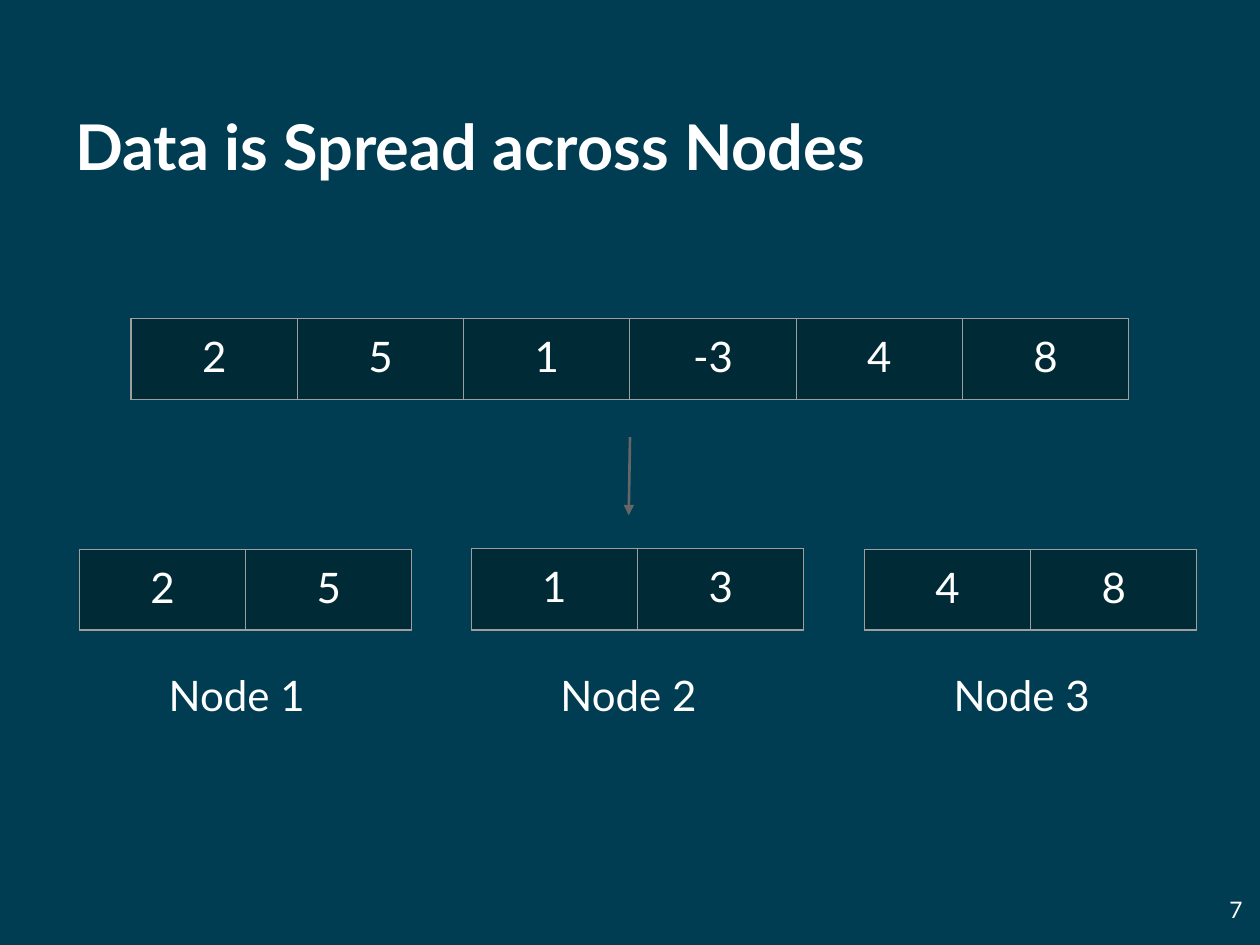
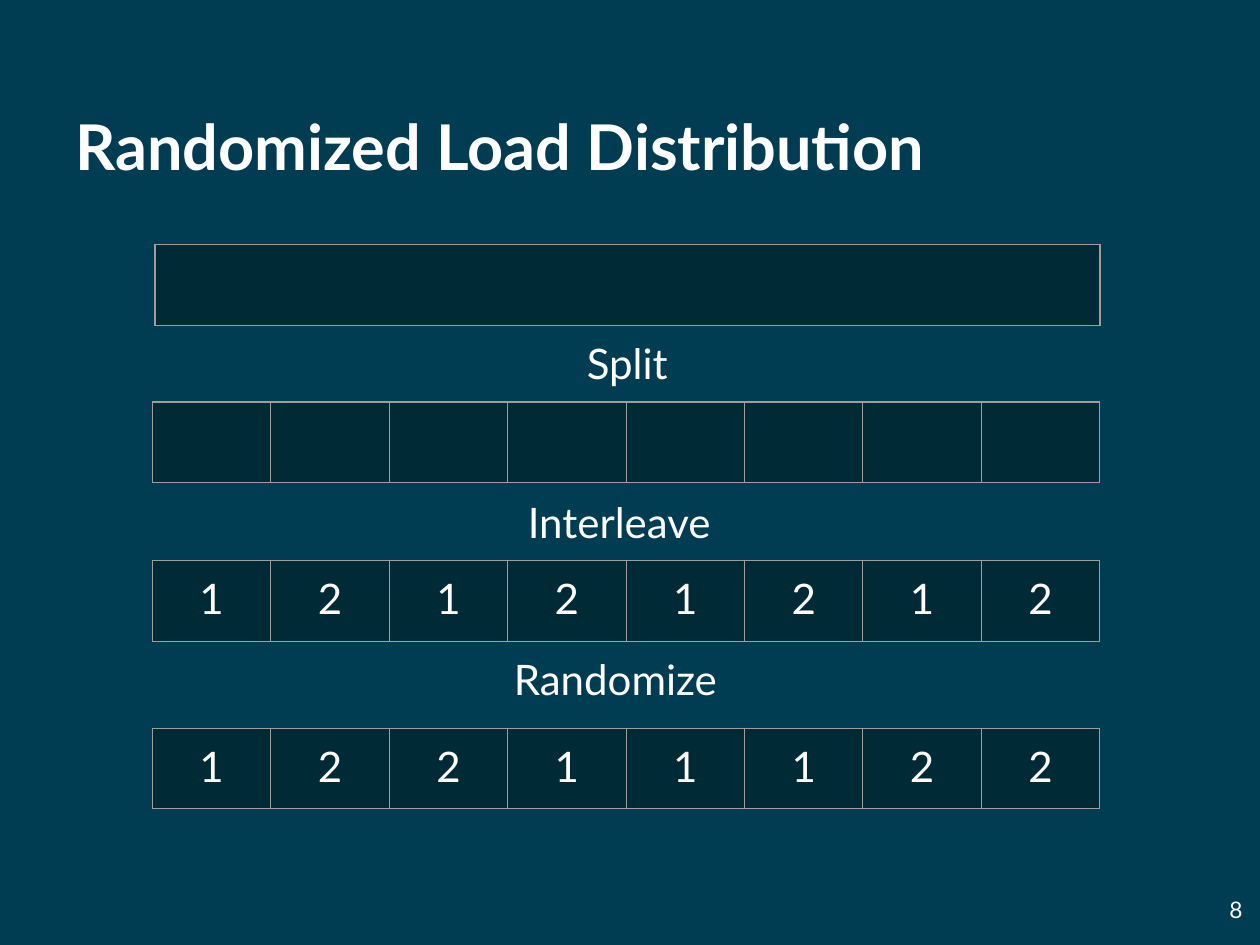
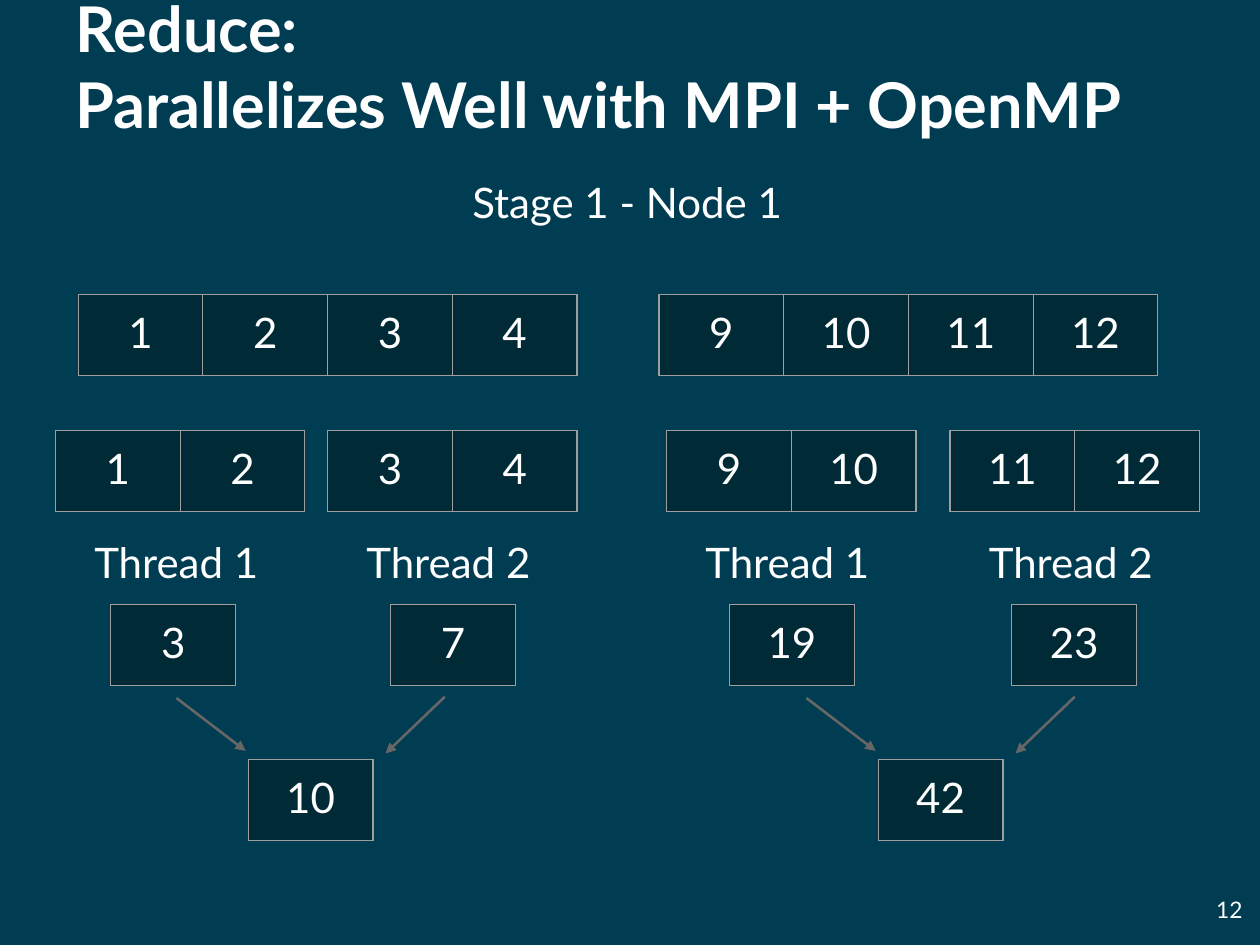
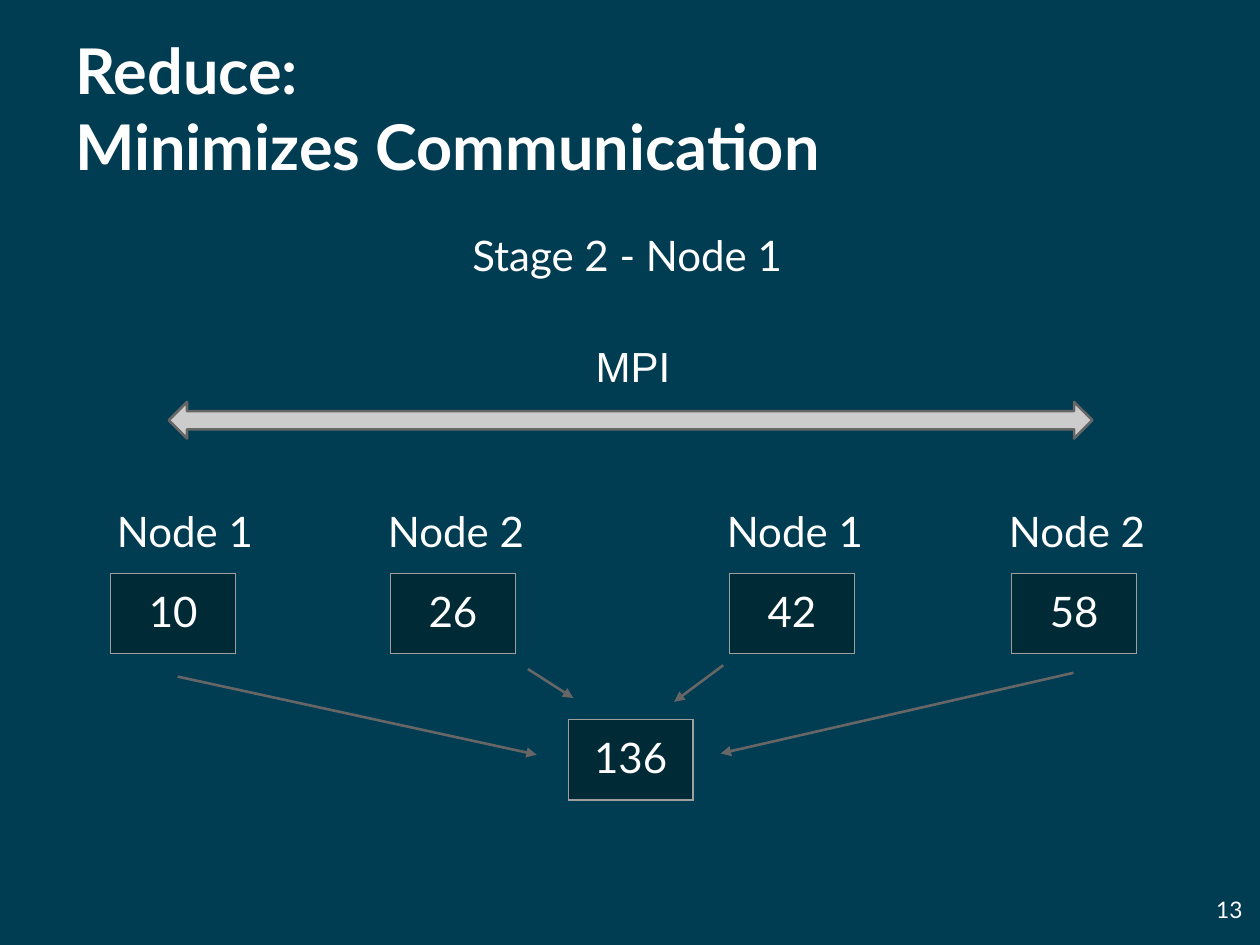
"""Build four slides on spreading and reducing data across nodes."""
from dataclasses import dataclass
from typing import Sequence

from pptx import Presentation
from pptx.dml.color import RGBColor
from pptx.enum.shapes import MSO_CONNECTOR as Connector, MSO_SHAPE as Shape
from pptx.enum.text import MSO_ANCHOR as Anchor, PP_ALIGN as Align
from pptx.oxml import parse_xml
from pptx.oxml.ns import nsdecls, qn
from pptx.slide import Slide
from pptx.text.text import TextFrame
from pptx.util import Inches, Pt

BACKGROUND = "003C52"
CELL_FILL = "002B36"
CELL_BORDER = "9E9E9E"
ARROW = "666666"
BAR_FILL = "CCCCCC"
WHITE = "FFFFFF"
FONT = "Lato"
MARGIN = Inches(0.1)
ROW_HEIGHT = 0.64
LABEL_HEIGHT = 0.68
NODE_CELL = 1.32
BLOCK_CELL = 0.94
THREAD_CELL = 0.99
RESULT_LEFTS = (0.88, 3.1, 5.79, 8.03)


@dataclass
class Row:
    """A one-row table of equal cells."""
    left: float
    top: float
    cell_width: float
    values: Sequence[str]
    height: float = ROW_HEIGHT


@dataclass
class Label:
    """A text box with one style."""
    text: str
    left: float
    top: float
    width: float
    height: float = LABEL_HEIGHT
    size: int = 24
    font: str = FONT
    bold: bool = False
    align: Align = Align.LEFT
    anchor: Anchor = Anchor.TOP


@dataclass
class Arrow:
    """A straight arrow that points at its end."""
    start_x: float
    start_y: float
    end_x: float
    end_y: float


def color(value: str) -> RGBColor:
    """Turn a hex string into a colour."""
    return RGBColor.from_string(value)


def style_text(text_frame: TextFrame, label: Label) -> None:
    """Format every run of a text frame as the label says."""
    for paragraph in text_frame.paragraphs:
        paragraph.alignment = label.align
        for run in paragraph.runs:
            run.font.name = label.font
            run.font.size = Pt(label.size)
            run.font.bold = label.bold
            run.font.color.rgb = color(WHITE)


def add_label(slide: Slide, label: Label) -> None:
    """Add a text box."""
    box = slide.shapes.add_textbox(Inches(label.left), Inches(label.top),
                                   Inches(label.width), Inches(label.height))
    text_frame = box.text_frame
    text_frame.word_wrap = True
    text_frame.vertical_anchor = label.anchor
    text_frame.margin_left = text_frame.margin_right = MARGIN
    text_frame.margin_top = text_frame.margin_bottom = MARGIN
    text_frame.text = label.text
    style_text(text_frame, label)


def add_row(slide: Slide, row: Row) -> None:
    """Add a one-row table with bordered dark cells."""
    width = row.cell_width * len(row.values)
    table = slide.shapes.add_table(1, len(row.values), Inches(row.left), Inches(row.top),
                                   Inches(width), Inches(row.height)).table
    table.first_row = table.horz_banding = False
    for column, value in zip(table.columns, row.values):
        column.width = Inches(row.cell_width)
    for cell, value in zip(table.iter_cells(), row.values):
        cell.margin_left = cell.margin_right = MARGIN
        cell.margin_top = cell.margin_bottom = MARGIN
        properties = cell._tc.get_or_add_tcPr()
        for side in "LRTB":
            properties.append(parse_xml(
                f'<a:ln{side} {nsdecls("a")} w="{Pt(0.75)}"><a:solidFill>'
                f'<a:srgbClr val="{CELL_BORDER}"/></a:solidFill></a:ln{side}>'))
        cell.fill.solid()
        cell.fill.fore_color.rgb = color(CELL_FILL)
        cell.text_frame.text = value
        style_text(cell.text_frame, Label(value, 0, 0, 0, align=Align.CENTER))


def add_arrow(slide: Slide, arrow: Arrow) -> None:
    """Add a connector with a triangular head."""
    connector = slide.shapes.add_connector(
        Connector.STRAIGHT, Inches(arrow.start_x), Inches(arrow.start_y),
        Inches(arrow.end_x), Inches(arrow.end_y))
    connector.line.color.rgb = color(ARROW)
    connector.line.width = Pt(1.5)
    connector.line._get_or_add_ln().append(
        parse_xml(f'<a:tailEnd {nsdecls("a")} type="triangle"/>'))
    properties = connector._element.find(qn("p:spPr"))
    properties.append(parse_xml(f'<a:effectLst {nsdecls("a")}/>'))


def add_exchange_bar(slide: Slide) -> None:
    """Add the wide two-headed block arrow."""
    shape = slide.shapes.add_shape(Shape.LEFT_RIGHT_ARROW, Inches(1.34), Inches(3.19),
                                   Inches(7.33), Inches(0.29))
    shape.shadow.inherit = False
    shape.fill.solid()
    shape.fill.fore_color.rgb = color(BAR_FILL)
    shape.line.color.rgb = color(ARROW)
    shape.line.width = Pt(1.5)


def new_slide(presentation: Presentation, title: str, number: int,
              title_top: float = 0.3) -> Slide:
    """Add a slide with its background, title and page number."""
    slide = presentation.slides.add_slide(presentation.slide_layouts[6])
    slide.background.fill.solid()
    slide.background.fill.fore_color.rgb = color(BACKGROUND)
    add_label(slide, Label(title, 0.5, title_top, 9, 1.25, size=36, bold=True,
                           anchor=Anchor.BOTTOM))
    add_label(slide, Label(str(number), 9.36, 6.93, 0.6, 0.57, size=13,
                           align=Align.RIGHT, anchor=Anchor.MIDDLE))
    return slide


def build_spread(presentation: Presentation) -> None:
    """Show one array cut into three nodes."""
    slide = new_slide(presentation, "Data is Spread across Nodes", 7)
    add_row(slide, Row(1.04, 2.53, NODE_CELL, ("2", "5", "1", "-3", "4", "8")))
    add_arrow(slide, Arrow(5, 3.47, 4.99, 4.09))
    nodes = (Row(0.63, 4.36, NODE_CELL, ("2", "5")),
             Row(3.74, 4.35, NODE_CELL, ("1", "3"), 0.65),
             Row(6.86, 4.36, NODE_CELL, ("4", "8")))
    for number, node in enumerate(nodes, 1):
        add_row(slide, node)
        add_label(slide, Label(f"Node {number}", node.left + 0.61, 5.21, 1.43))


def build_distribution(presentation: Presentation) -> None:
    """Show the steps from one block to randomized parts."""
    slide = new_slide(presentation, "Randomized Load Distribution", 8)
    add_row(slide, Row(1.23, 1.94, 7.5, ("",)))
    for top, values in ((3.19, [""] * 8), (4.45, "12121212"), (5.78, "12211122")):
        add_row(slide, Row(1.21, top, BLOCK_CELL, values))
    for label in (Label("Split", 4.56, 2.58, 0.87),
                  Label("Interleave", 4.09, 3.84, 1.82),
                  Label("Randomize", 3.98, 5.09, 1.98)):
        add_label(slide, label)


def build_threads(presentation: Presentation) -> None:
    """Show two arrays, each reduced by two threads."""
    slide = new_slide(presentation, "Reduce:\vParallelizes Well with MPI + OpenMP", 12, -0.03)
    add_label(slide, Label("Stage 1 - Node 1", 3.65, 1.3, 2.7))
    halves = ((0.62, (1, 2, 3, 4), (0.44, 2.6)), (5.23, (9, 10, 11, 12), (5.29, 7.54)))
    for index, (left, numbers, thread_lefts) in enumerate(halves):
        values = [str(number) for number in numbers]
        add_row(slide, Row(left, 2.34, THREAD_CELL, values))
        for thread, thread_left in enumerate(thread_lefts):
            part = slice(2 * thread, 2 * thread + 2)
            add_row(slide, Row(thread_left, 3.42, THREAD_CELL, values[part]))
            add_label(slide, Label(f"Thread {thread + 1}", thread_left + 0.21, 4.16, 1.57))
            add_row(slide, Row(RESULT_LEFTS[2 * index + thread], 4.8, THREAD_CELL,
                               (str(sum(numbers[part])),)))
        shift = 5 * index
        add_arrow(slide, Arrow(1.4 + shift, 5.54, 1.95 + shift, 5.96))
        add_arrow(slide, Arrow(3.53 + shift, 5.53, 3.06 + shift, 5.98))
        add_row(slide, Row(1.97 + shift, 6.03, THREAD_CELL, (str(sum(numbers)),)))


def build_communication(presentation: Presentation) -> None:
    """Show the node results joined into one total."""
    slide = new_slide(presentation, "Reduce:\vMinimizes Communication", 13)
    add_label(slide, Label("Stage 2 - Node 1", 3.65, 1.72, 2.7))
    add_label(slide, Label("MPI", 4.63, 2.6, 0.87, font="Arial"))
    add_exchange_bar(slide)
    totals = (10, 26, 42, 58)
    label_lefts = (0.83, 2.98, 5.67, 7.91)
    for index, (total, left, label_left) in enumerate(zip(totals, RESULT_LEFTS, label_lefts)):
        add_label(slide, Label(f"Node {index % 2 + 1}", label_left, 3.91, 1.57))
        add_row(slide, Row(left, 4.55, THREAD_CELL, (str(total),)))
    add_row(slide, Row(4.51, 5.71, THREAD_CELL, (str(sum(totals)),)))
    for arrow in (Arrow(1.41, 5.37, 4.26, 5.99), Arrow(4.19, 5.31, 4.55, 5.54),
                  Arrow(5.74, 5.28, 5.35, 5.57), Arrow(8.52, 5.34, 5.72, 5.98)):
        add_arrow(slide, arrow)


def main() -> None:
    """Build and save the presentation."""
    presentation = Presentation()
    presentation.slide_width = Inches(10)
    presentation.slide_height = Inches(7.5)
    for build in (build_spread, build_distribution, build_threads, build_communication):
        build(presentation)
    presentation.save("out.pptx")


main()
